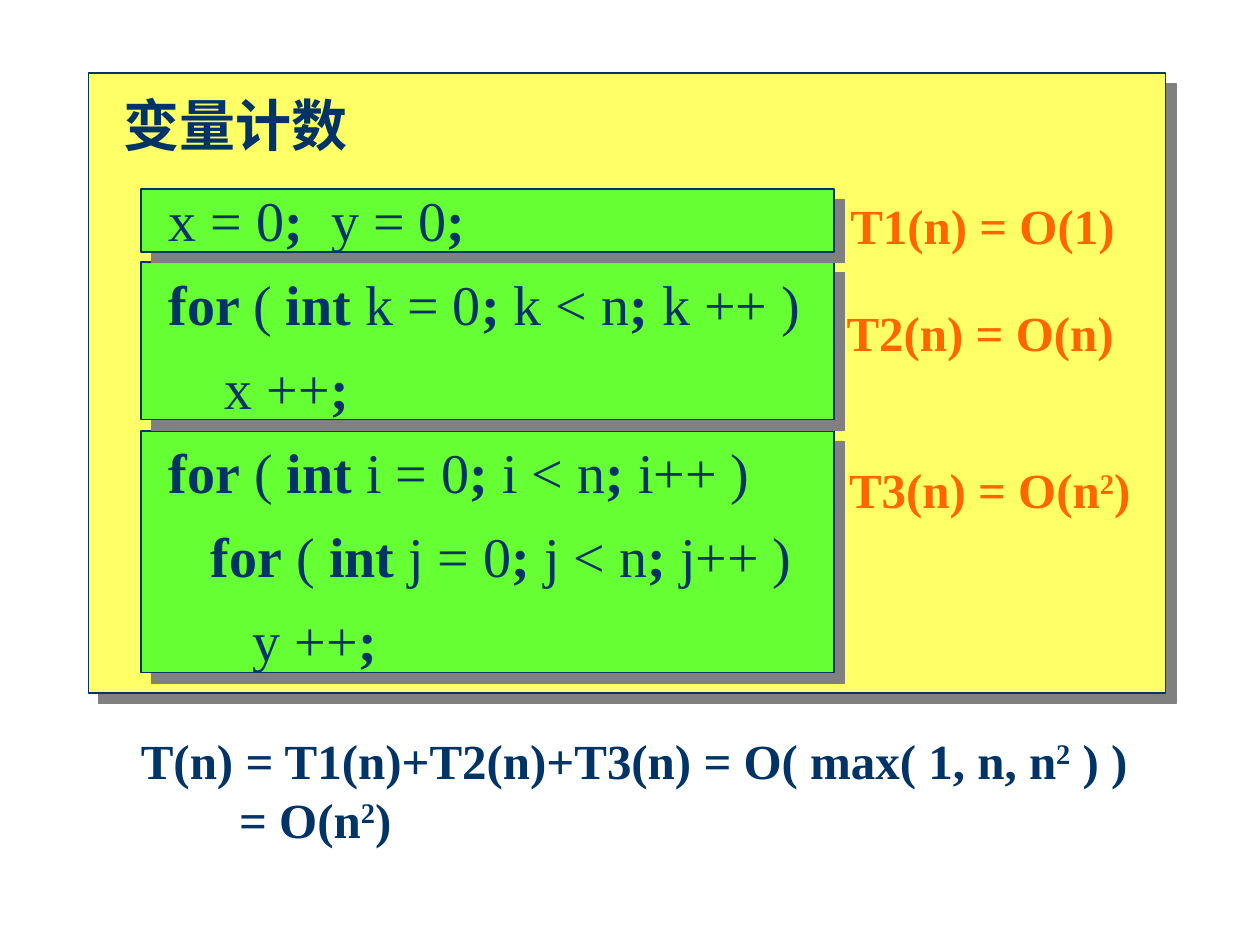
from lxml.etree import SubElement
from pptx import Presentation
from pptx.dml.color import RGBColor
from pptx.enum.shapes import MSO_SHAPE
from pptx.enum.text import MSO_AUTO_SIZE
from pptx.oxml.ns import qn
from pptx.util import Inches, Pt

NAVY, ORANGE, YELLOW, GREEN, GRAY = "003366", "FF6600", "FFFF66", "66FF33", "808080"


def color(code):
    return RGBColor.from_string(code)


def add_panel(slide, box, fill):
    shape = slide.shapes.add_shape(MSO_SHAPE.RECTANGLE, *map(Inches, box))
    shape.shadow.inherit = False
    shape.fill.solid()
    shape.fill.fore_color.rgb = color(fill)
    shape.line.color.rgb = color(NAVY)
    shape.line.width = Pt(0.75)
    effects = shape._element.spPr.find(qn("a:effectLst"))
    shadow = SubElement(effects, qn("a:outerShdw"), dist=str(Pt(8.5)),
                        dir="2700000", algn="ctr", rotWithShape="0")
    SubElement(shadow, qn("a:srgbClr"), val=GRAY)


def add_text(slide, box, lines, size, tint, bold=True, space=1.0):
    frame = slide.shapes.add_textbox(*map(Inches, box)).text_frame
    frame.word_wrap = False
    frame.auto_size = MSO_AUTO_SIZE.SHAPE_TO_FIT_TEXT
    for row, line in enumerate(lines):
        para = frame.add_paragraph() if row else frame.paragraphs[0]
        para.line_spacing = space
        para.font.name = "Times New Roman"
        para.font.size = Pt(size)
        para.font.color.rgb = color(tint)
        para.font.bold = bold
        for odd, part in enumerate(line.split("*")):
            for high, text in enumerate(part.split("^")):
                if not text:
                    continue
                run = para.add_run()
                run.text = text
                if odd % 2:
                    run.font.bold = True
                if high % 2:
                    run.font._element.set("baseline", "30000")
    return frame


def add_code(slide, left, top, width):
    for place, height in ((3.42, 1.92), (2.08, 1.25), (1.5, 0.5)):
        add_panel(slide, (left, place, width, height), GREEN)
    lines = [
        "x = 0*;*  y = 0*;*",
        "*for *(* int* k = 0*;* k < n*;* k ++ )",
        "    x ++*;*",
        "*for* (* int *i = 0*;* i < n*;* i++ )",
        "   *for* (* int* j = 0*;* j < n*;* j++ )",
        "      y ++*;*",
    ]
    add_text(slide, (left + 0.12, top, 5.22, 4.1), lines, 32, NAVY, False, 1.25)


def add_costs(slide):
    costs = [
        (6.65, 1.5, 2.3, "T1(n) = O(1)"),
        (6.62, 2.35, 2.32, "T2(n) = O(n)"),
        (6.64, 3.6, 2.43, "T3(n) = O(n^2^)"),
    ]
    for left, top, width, text in costs:
        add_text(slide, (left, top, width, 0.57), [text], 28, ORANGE)


def add_total(slide, box):
    lines = ["T(n) = T1(n)+T2(n)+T3(n) = O( max( 1, n, n^2^ ) )", "= O(n^2^)"]
    frame = add_text(slide, box, lines, 28, NAVY)
    props = frame.paragraphs[1]._p.get_or_add_pPr()
    props.set("marL", str(Inches(0.78)))
    props.set("indent", "0")


def main():
    deck = Presentation()
    deck.slide_width, deck.slide_height = Inches(10), Inches(7.5)
    slide = deck.slides.add_slide(deck.slide_layouts[6])
    add_panel(slide, (0.7, 0.58, 8.55, 4.92), YELLOW)
    add_text(slide, (0.88, 0.67, 1.98, 0.64), ["变量计数"], 32, NAVY)
    add_code(slide, 1.12, 1.29, 5.5)
    add_costs(slide)
    add_total(slide, (1.02, 5.75, 8.03, 1.04))
    deck.save("out.pptx")


if __name__ == "__main__":
    main()
